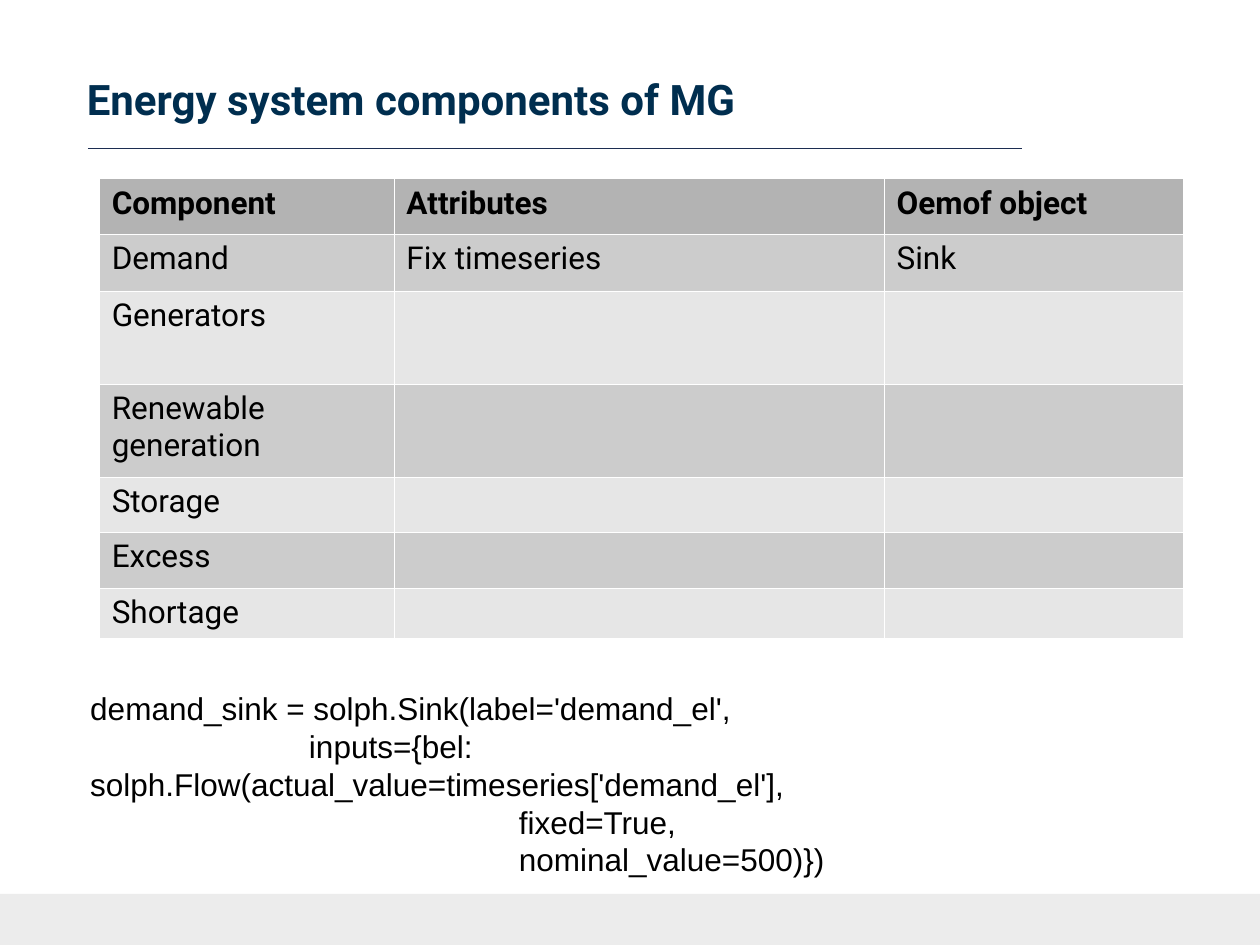
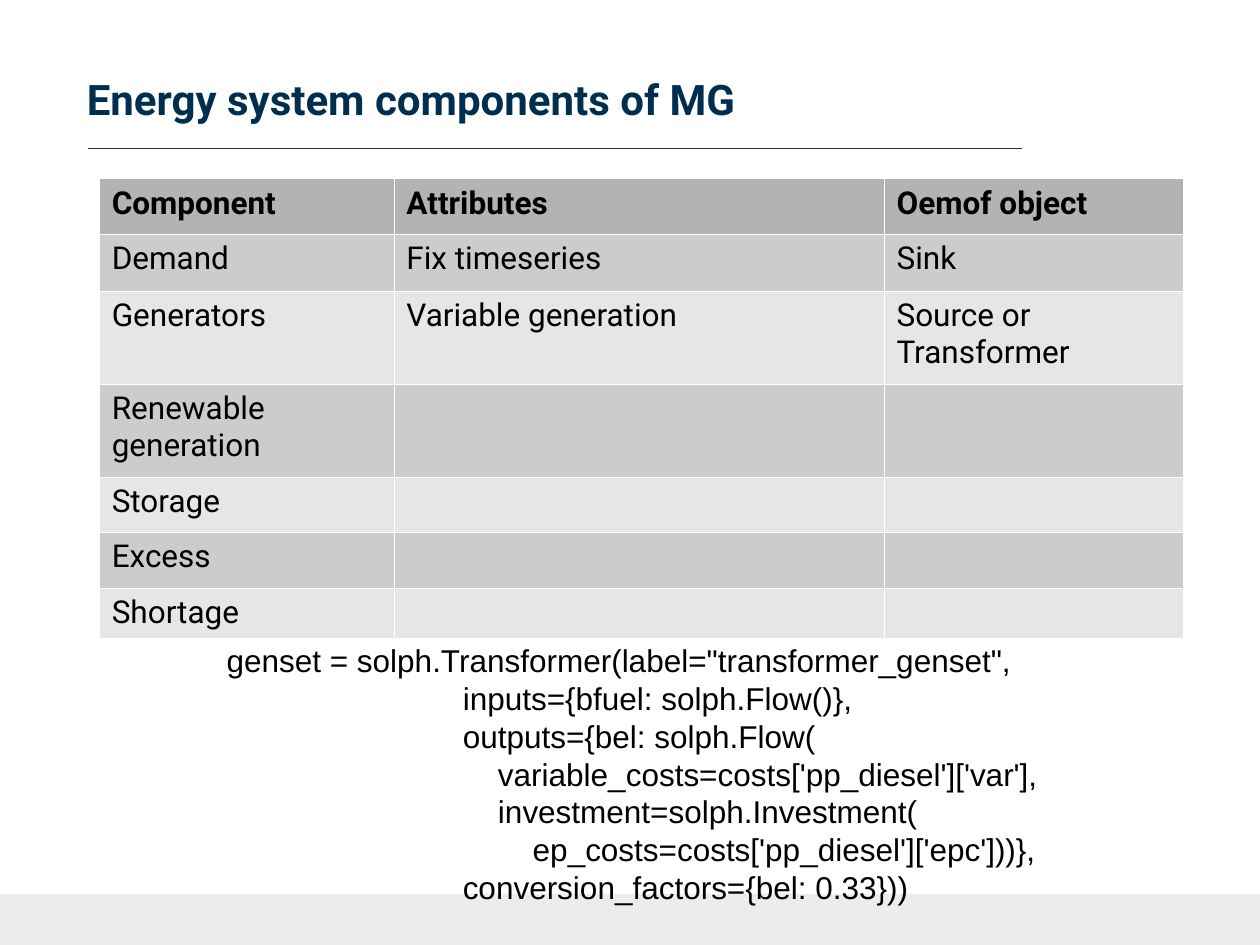
from dataclasses import dataclass

from lxml.etree import SubElement
from pptx import Presentation
from pptx.dml.color import RGBColor
from pptx.enum.shapes import MSO_CONNECTOR, MSO_SHAPE
from pptx.enum.text import MSO_ANCHOR
from pptx.oxml import parse_xml
from pptx.oxml.ns import nsdecls, qn
from pptx.util import Cm, Pt


@dataclass(frozen=True)
class Theme:
    title: RGBColor = RGBColor.from_string("002E4F")
    rule: RGBColor = RGBColor.from_string("1C2D51")
    footer: RGBColor = RGBColor.from_string("ECECEC")
    header: RGBColor = RGBColor.from_string("B3B3B3")
    dark_row: RGBColor = RGBColor.from_string("CCCCCC")
    light_row: RGBColor = RGBColor.from_string("E6E6E6")
    text: RGBColor = RGBColor.from_string("000000")
    border: str = "FFFFFF"
    main_font: str = "Roboto"
    code_font: str = "Arial"
    title_size: Pt = Pt(24)
    body_size: Pt = Pt(18)
    rule_width: Pt = Pt(0.5)
    border_width: Pt = Pt(0.06)


theme = Theme()


def add_span(para, text, font, size, color, bold=False):
    span = para.add_run()
    span.text = text
    span.font.name = font
    span.font.size = size
    span.font.color.rgb = color
    span.font.bold = bold


def style_cell(cell, fill):
    properties = cell._tc.get_or_add_tcPr()
    for side in ("lnL", "lnR", "lnT", "lnB"):
        properties.append(parse_xml(
            f'<a:{side} {nsdecls("a")} w="{theme.border_width}"><a:solidFill>'
            f'<a:srgbClr val="{theme.border}"/></a:solidFill></a:{side}>'
        ))
    cell.fill.solid()
    cell.fill.fore_color.rgb = fill


heading = "Energy system components of MG"
column_names = ("Component", "Attributes", "Oemof object")
components = ("Demand", "Generators", "Renewable generation", "Storage", "Excess", "Shortage")
column_widths = (5.94, 9.88, 6.02)
row_heights = (1.11, 1.15, 1.88, 1.88, 1.11, 1.12, 1.0)
demand = ("Fix timeseries", "Sink")
generators = ("Variable generation", "Source or Transformer")

lessons = [
    {
        "answers": {"Demand": demand},
        "code_area": (1.57, 13.77, 22.38, 4.52),
        "code_margin_right": 0.5,
        "code": [
            (0, "demand_sink = solph.Sink(label='demand_el',"),
            (4.41, "inputs={bel: solph.Flow(actual_value=timeseries['demand_el'],"),
            (8.64, "fixed=True,"),
            (8.64, "nominal_value=500)})"),
        ],
    },
    {
        "answers": {"Demand": demand, "Generators": generators},
        "code_area": (4.32, 12.8, 16.89, 5.94),
        "code_margin_right": 0,
        "code": [
            (0, 'genset = solph.Transformer(label="transformer_genset",'),
            (4.76, "inputs={bfuel: solph.Flow()},"),
            (4.76, "outputs={bel: solph.Flow("),
            (5.47, "variable_costs=costs['pp_diesel']['var'],"),
            (5.47, "investment=solph.Investment("),
            (6.17, "ep_costs=costs['pp_diesel']['epc']))},"),
            (4.76, "conversion_factors={bel: 0.33}))"),
        ],
    },
]

deck = Presentation()
deck.slide_width = Cm(25.4)
deck.slide_height = Cm(19.05)

for lesson in lessons:
    page = deck.slides.add_slide(deck.slide_layouts[6])

    footer = page.shapes.add_shape(MSO_SHAPE.RECTANGLE, 0, Cm(18.02), deck.slide_width, Cm(1.03))
    footer.shadow.inherit = False
    footer.fill.solid()
    footer.fill.fore_color.rgb = theme.footer
    footer.line.fill.background()

    rule = page.shapes.add_connector(MSO_CONNECTOR.STRAIGHT, Cm(1.77), Cm(2.99), Cm(20.6), Cm(2.99))
    rule.line.color.rgb = theme.rule
    rule.line.width = theme.rule_width
    SubElement(rule._element.spPr, qn("a:effectLst"))

    title_box = page.shapes.add_textbox(Cm(1.75), Cm(0.98), Cm(21.89), Cm(2.01))
    title_frame = title_box.text_frame
    title_frame.word_wrap = True
    title_frame.vertical_anchor = MSO_ANCHOR.MIDDLE
    title_frame.margin_left = 0
    title_frame.margin_right = Cm(0.33)
    title_frame.margin_top = title_frame.margin_bottom = Cm(0.18)
    add_span(title_frame.paragraphs[0], heading, theme.main_font, theme.title_size, theme.title, True)

    rows = [column_names] + [(name, *lesson["answers"].get(name, ("", ""))) for name in components]
    table = page.shapes.add_table(
        len(rows), len(column_names), Cm(2), Cm(3.6), Cm(sum(column_widths)), Cm(sum(row_heights))
    ).table
    table.first_row = False
    table.horz_banding = False
    for column, width in zip(table.columns, column_widths):
        column.width = Cm(width)
    for index, (row, height, texts) in enumerate(zip(table.rows, row_heights, rows)):
        row.height = Cm(height)
        is_header = index == 0
        fill = theme.header if is_header else theme.dark_row if index % 2 else theme.light_row
        for cell, text in zip(row.cells, texts):
            style_cell(cell, fill)
            if text:
                add_span(cell.text_frame.paragraphs[0], text, theme.main_font,
                         theme.body_size, theme.text, is_header)

    code_box = page.shapes.add_textbox(*map(Cm, lesson["code_area"]))
    code_frame = code_box.text_frame
    code_frame.word_wrap = True
    code_frame.margin_right = Cm(lesson["code_margin_right"])
    for index, (indent, text) in enumerate(lesson["code"]):
        para = code_frame.add_paragraph() if index else code_frame.paragraphs[0]
        para._p.get_or_add_pPr().set("indent", str(Cm(indent)))
        add_span(para, text, theme.code_font, theme.body_size, theme.text)

deck.save("out.pptx")
